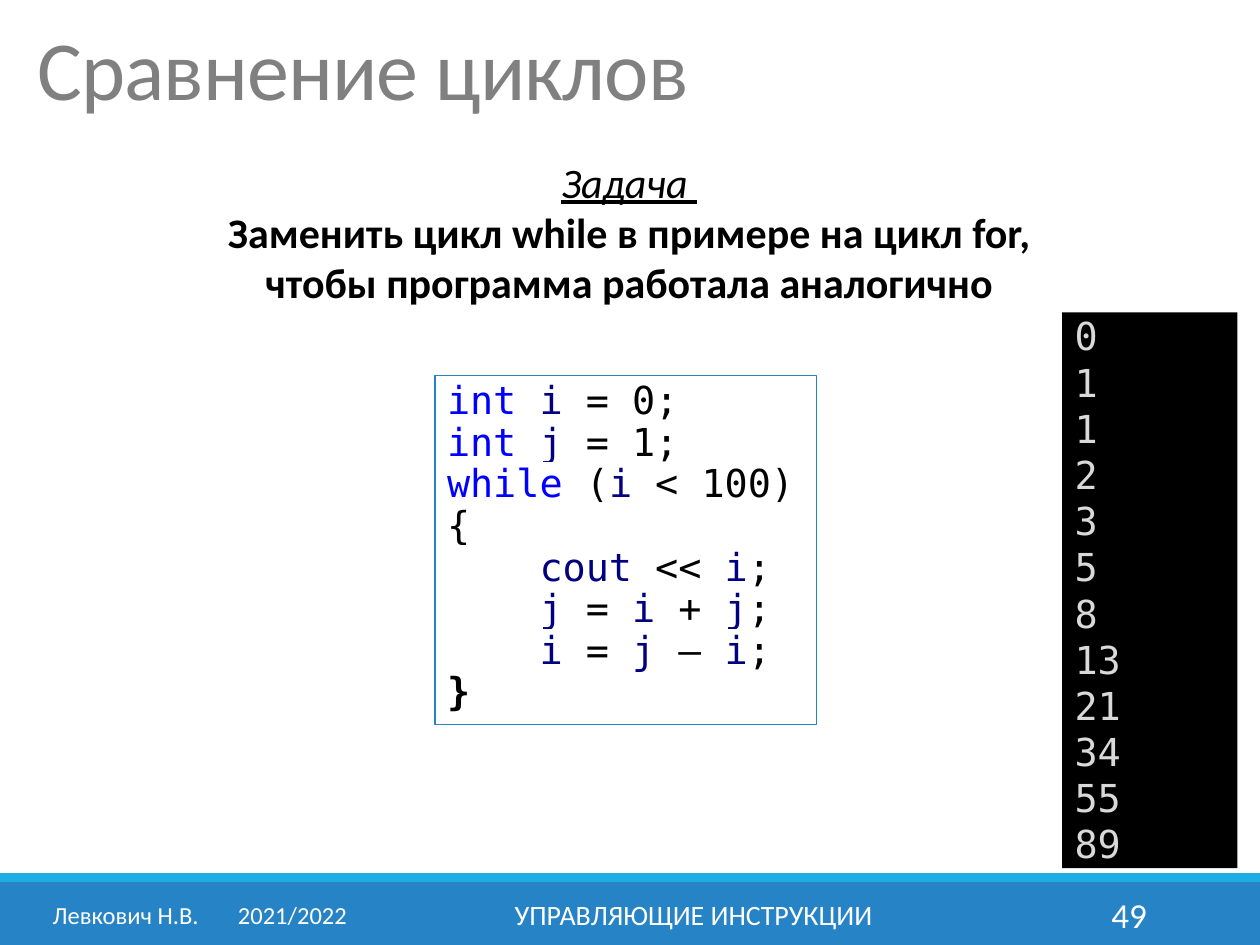
from dataclasses import dataclass
from typing import NamedTuple, Optional

from lxml.etree import SubElement
from pptx import Presentation
from pptx.dml.color import RGBColor
from pptx.enum.shapes import MSO_SHAPE
from pptx.enum.text import MSO_ANCHOR, PP_ALIGN
from pptx.oxml.ns import qn
from pptx.util import Inches, Pt


@dataclass(frozen=True)
class Theme:
    blue: str = "2683C6"
    cyan: str = "1CADE4"
    white: str = "FFFFFF"
    black: str = "000000"
    title: str = "808080"
    keyword: str = "0000FF"
    variable: str = "000080"
    output: str = "D9D9D9"
    body_font: str = "Calibri"
    code_font: str = "DejaVu Sans Mono"
    title_size: int = 48
    task_size: int = 24
    code_size: int = 22
    number_size: int = 20
    footer_size: int = 16
    author_size: int = 14


THEME = Theme()


class Box(NamedTuple):
    left: float
    top: float
    width: float
    height: float

    def lengths(self):
        return [Inches(value) for value in self]


class Run(NamedTuple):
    text: str
    color: str = THEME.black
    bold: bool = False
    italic: bool = False
    underline: bool = False


class FooterText(NamedTuple):
    text: str
    box: Box
    size: int
    align: PP_ALIGN
    tab: Optional[float] = None


def keyword(text: str) -> Run:
    return Run(text, THEME.keyword)


def variable(text: str) -> Run:
    return Run(text, THEME.variable)


def add_rectangle(slide, box: Box, fill: Optional[str] = None, line: Optional[str] = None):
    shape = slide.shapes.add_shape(MSO_SHAPE.RECTANGLE, *box.lengths())
    shape.shadow.inherit = False
    if fill:
        shape.fill.solid()
        shape.fill.fore_color.rgb = RGBColor.from_string(fill)
    else:
        shape.fill.background()
    if line:
        shape.line.color.rgb = RGBColor.from_string(line)
        shape.line.width = Pt(1)
    else:
        shape.line.fill.background()
    return shape


def add_highlight(run, color: str) -> None:
    properties = run.font._element
    highlight = properties.makeelement(qn("a:highlight"))
    SubElement(highlight, qn("a:srgbClr"), val=color)
    properties.find(qn("a:solidFill")).addnext(highlight)


def write_text(shape, paragraphs, *, size, font=THEME.body_font, align=PP_ALIGN.LEFT,
               anchor=MSO_ANCHOR.TOP, line_spacing=None, character_spacing=None,
               highlight=None, tab=None) -> None:
    """Write paragraphs, each a list of runs; a newline in a run breaks the line."""
    frame = shape.text_frame
    frame.word_wrap = True
    frame.vertical_anchor = anchor
    for index, runs in enumerate(paragraphs):
        paragraph = frame.add_paragraph() if index else frame.paragraphs[0]
        paragraph.alignment = align
        if line_spacing:
            paragraph.line_spacing = line_spacing
        if tab:
            tabs = SubElement(paragraph._p.get_or_add_pPr(), qn("a:tabLst"))
            SubElement(tabs, qn("a:tab"), pos=str(Inches(tab)), algn="l")
        for item in runs:
            for part_index, part in enumerate(item.text.split("\n")):
                if part_index:
                    paragraph.add_line_break()
                run = paragraph.add_run()
                run.text = part
                run.font.size = Pt(size)
                run.font.name = font
                run.font.bold = item.bold
                run.font.italic = item.italic
                run.font.underline = item.underline
                run.font.color.rgb = RGBColor.from_string(item.color)
                if highlight:
                    add_highlight(run, highlight)
                if character_spacing:
                    run.font._element.set("spc", str(round(character_spacing * 100)))


def add_text(slide, box: Box, paragraphs, **text_format) -> None:
    write_text(slide.shapes.add_textbox(*box.lengths()), paragraphs, **text_format)


CODE = [
    [keyword("int "), variable("i"), Run(" = 0;")],
    [keyword("int "), variable("j"), Run(" = 1;")],
    [keyword("while"), Run(" ("), variable("i"), Run(" < 100)")],
    [Run("{")],
    [variable("    cout"), Run(" << "), variable("i"), Run(";")],
    [variable("    j "), Run("="), variable(" i "), Run("+"), variable(" j"), Run(";")],
    [variable("    i "), Run("="), variable(" j "), Run("–"), variable(" i"), Run(";")],
    [Run("}", bold=True)],
]
OUTPUT = [0, 1, 1, 2, 3, 5, 8, 13, 21, 34, 55, 89]
TASK = [
    [Run("Задача ", italic=True, underline=True)],
    [Run("Заменить цикл while в примере на цикл for,\n"
         "чтобы программа работала аналогично", bold=True)],
]
FOOTER = [
    FooterText("Левкович Н.В.\t2021/2022", Box(0.32, 7.06, 2.61, 0.4),
               THEME.author_size, PP_ALIGN.LEFT, 1.47),
    FooterText("УПРАВЛЯЮЩИЕ ИНСТРУКЦИИ", Box(3.02, 7.06, 4.97, 0.4),
               THEME.footer_size, PP_ALIGN.CENTER),
    FooterText("49", Box(8.12, 7.06, 1.08, 0.4), THEME.number_size, PP_ALIGN.RIGHT),
]


def main() -> None:
    presentation = Presentation()
    presentation.slide_width, presentation.slide_height = Inches(10), Inches(7.5)
    slide = presentation.slides.add_slide(presentation.slide_layouts[6])

    # Footer band and its texts
    add_rectangle(slide, Box(0, 7, 10, 0.5), fill=THEME.blue)
    add_rectangle(slide, Box(0, 6.93, 10, 0.07), fill=THEME.cyan)
    for item in FOOTER:
        add_text(slide, item.box, [[Run(item.text, THEME.white)]], size=item.size,
                 align=item.align, anchor=MSO_ANCHOR.MIDDLE, tab=item.tab)

    # Title
    add_text(slide, Box(0.2, 0.02, 9.53, 1.15), [[Run("Сравнение циклов", THEME.title)]],
             size=THEME.title_size, anchor=MSO_ANCHOR.MIDDLE, line_spacing=0.85,
             character_spacing=-0.5)

    # Code listing
    listing = add_rectangle(slide, Box(3.45, 2.98, 3.03, 2.77), line=THEME.blue)
    write_text(listing, CODE, size=THEME.code_size, font=THEME.code_font,
               line_spacing=0.9, highlight=THEME.white)

    # Console output
    console = add_rectangle(slide, Box(8.43, 2.48, 1.39, 4.41), fill=THEME.black)
    console.text_frame.margin_top = console.text_frame.margin_bottom = 0
    write_text(console, [[Run(str(number), THEME.output)] for number in OUTPUT],
               size=THEME.code_size, font=THEME.code_font, highlight=THEME.black)

    # Task statement
    add_text(slide, Box(1.06, 1.19, 7.87, 1.31), TASK, size=THEME.task_size,
             align=PP_ALIGN.CENTER)

    presentation.save("out.pptx")


if __name__ == "__main__":
    main()
